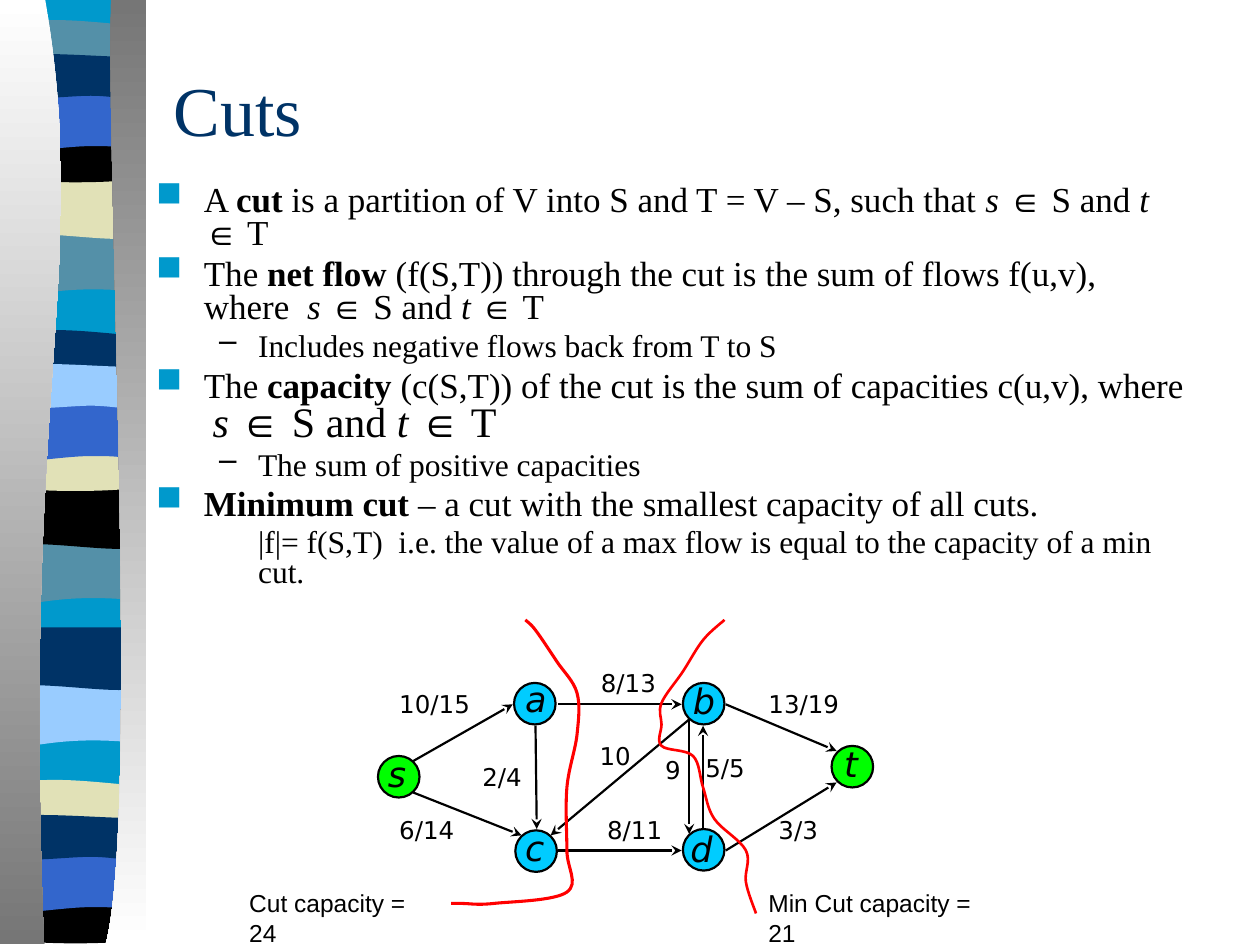
from lxml.etree import Element, SubElement
from pptx import Presentation
from pptx.dml.color import RGBColor
from pptx.enum.shapes import MSO_CONNECTOR as CONN, MSO_SHAPE as SHAPE
from pptx.enum.text import MSO_ANCHOR as ANCHOR, PP_ALIGN as ALIGN
from pptx.oxml.ns import qn
from pptx.util import Inches, Pt

SERIF, SANS, ARIAL = "Times New Roman", "DejaVu Sans", "Arial"
BLACK, NAVY, CYAN, TEAL = "000000", "003366", "0099CC", "5490A8"
SAND, ROYAL, SKY = "E1E1B7", "3366CC", "99CCFF"
AQUA, GREEN, RED = "00CCFF", "00FF00", "FF0000"

# Ribbon bands: outline (pairs are corners, sixes are Bezier curves), then (top, colour) of each use
BANDS = [
    ([(1.14, 0), (1.14, .47), (.39, .39, .24, .55, .05, .47), (.05, 0)],
     [(1.85, TEAL), (4.3, TEAL), (5.43, SKY)]),
    ([(1.14, 0), (1.14, .47), (.96, .55, .39, .42, .05, .47), (.05, 0)],
     [(1.4, SAND), (3.86, BLACK), (4.98, NAVY)]),
    ([(1.14, .05), (1.14, .29), (.96, .33, .24, .33, .05, .29), (.05, .05),
      (.13, 0, .29, 0, .47, 0), (.66, 0, 1, .04, 1.14, .05)],
     [(.16, TEAL), (2.62, NAVY), (6.19, SAND)]),
    ([(1.14, 0), (1.14, .33), (.96, .38, .24, .38, .05, .33), (.05, 0),
      (.72, .05, .91, 0, 1.14, 0)],
     [(1.08, BLACK), (3.53, SAND), (7.12, BLACK)]),
    ([(1.14, 0), (1.14, .47), (.97, .42, .9, .42, .72, .42),
      (.54, .42, .22, .47, .05, .47), (.05, 0)],
     [(.74, ROYAL), (3.2, ROYAL), (6.78, ROYAL)]),
    ([(1.14, .05), (1.14, .36), (1.07, .41, .91, .36, .72, .36),
      (.54, .36, .17, .41, .05, .36), (.05, .05),
      (.21, 0, .79, .05, .97, .05), (1.14, .05)],
     [(.4, NAVY), (2.86, SKY), (6.44, NAVY)]),
]
# Gradient edges of the ribbon: outline, top colour, bottom colour
RIBBON_EDGES = [
    ([(.36, 0), (.72, 2.17, .17, 2.96, .35, 7.49), (0, 7.49), (0, 0)], "FFFFFF", "767676"),
    ([(.88, 0), (.84, 1.25, 1.11, 6.46, .84, 7.49), (1.16, 7.49), (1.16, 0)], "767676", "FFFFFF"),
]

# Body: level, space before, runs of (text, style, size)
BODY = [
    (0, 0, [("A ", "", 20), ("cut", "b", 20),
            (" is a partition of V into S and T = V – S, such that ", "", 20),
            ("s", "i", 20), (" ∈ S and ", "", 20), ("t", "i", 20), (" ∈ T", "", 20)]),
    (0, 4, [("The ", "", 20), ("net flow", "b", 20),
            (" (f(S,T)) through the cut is the sum of flows f(u,v), where  ", "", 20),
            ("s", "i", 20), (" ∈ S and ", "", 20), ("t", "i", 20), (" ∈ T", "", 20)]),
    (1, 3.6, [("Includes negative flows back from T to S", "", 18)]),
    (0, 4.8, [("The ", "", 20), ("capacity", "b", 20),
              (" (c(S,T)) of the cut is the sum of capacities c(u,v), where  ", "", 20),
              ("s", "i", 24), (" ∈ S and ", "", 24), ("t", "i", 24), (" ∈ T", "", 24)]),
    (1, 3.6, [("The sum of positive capacities", "", 18)]),
    (0, 4, [("Minimum cut", "b", 20),
            (" – a cut with the smallest capacity of all cuts.", "", 20)]),
    (2, 3.6, [("|f|= f(S,T)  i.e. the value of a max flow is equal to the capacity of a min cut.",
               "", 18)]),
]
# Per level: left margin, first-line indent, bullet, bullet colour
LEVELS = [(.38, -.38, "■", CYAN), (.81, -.31, "–", BLACK), (.81, 0, None, None)]

# Flow network: name, colour, circle left and top, name left, top and width
NODES = [
    ("s", GREEN, 3, 6, 2.98, 5.92, .35), ("a", AQUA, 4.08, 5.42, 4.07, 5.33, .37),
    ("b", AQUA, 5.42, 5.42, 5.4, 5.34, .38), ("c", AQUA, 4.09, 6.59, 4.07, 6.51, .35),
    ("d", AQUA, 5.42, 6.58, 5.38, 6.52, .38), ("t", GREEN, 6.6, 5.92, 6.6, 5.84, .31),
]
ARROWS = [
    (3.28, 6.04, 4.07, 5.59), (3.28, 6.29, 4.14, 6.63), (4.43, 5.59, 5.41, 5.59),
    (4.43, 6.75, 5.41, 6.75), (4.25, 5.76, 4.26, 6.58), (5.47, 5.71, 4.37, 6.63),
    (5.47, 5.71, 5.47, 6.62), (5.58, 6.57, 5.58, 5.76), (5.76, 5.59, 6.64, 5.96),
    (5.76, 6.75, 6.64, 6.21),
]
# Labels: text, left, top, width, font
LABELS = [
    ("8/13", 4.67, 5.25, .66, SANS), ("8/11", 4.72, 6.42, .66, SANS),
    ("5/5", 5.5, 5.93, .54, SANS), ("2/4", 3.73, 6, .54, SANS),
    ("10/15", 3.07, 5.42, .78, SANS), ("10", 4.66, 5.83, .45, SANS),
    ("6/14", 3.07, 6.42, .66, SANS), ("13/19", 6, 5.42, .78, SANS),
    ("3/3", 6.08, 6.42, .54, SANS), ("9", 5.18, 5.94, .32, SANS),
    ("Cut capacity = 24", 1.88, 7, 1.7, ARIAL), ("Min Cut capacity = 21", 6, 7, 2.07, ARIAL),
]
# Cut lines: width, points that the smooth curve passes through
CUTS = [
    (1.75, [(4.17, 4.92), (4.25, 5), (4.42, 5.25), (4.58, 5.5), (4.58, 5.83), (4.5, 6.25),
            (4.5, 6.75), (4.5, 7.08), (3.92, 7.17), (3.67, 7.17), (3.58, 7.17)]),
    (1.5, [(5.75, 4.92), (5.58, 5.08), (5.42, 5.33), (5.25, 5.58), (5.25, 5.75), (5.25, 5.92),
           (5.5, 6), (5.58, 6.25), (5.67, 6.5), (5.92, 6.75), (5.92, 7), (6, 7.25)]),
]

prs = Presentation()
prs.slide_width, prs.slide_height = Inches(10), Inches(7.5)
s = prs.slides.add_slide(prs.slide_layouts[5])


def rgb(hex_colour):
    return RGBColor.from_string(hex_colour)


def add_run(p, text, size, font, colour=BLACK, style=""):
    r = p.add_run()
    r.text = text
    r.font.size, r.font.name, r.font.color.rgb = Pt(size), font, rgb(colour)
    if style:
        r.font.bold, r.font.italic = style == "b", style == "i"


def add_text_box(x, y, w, h):
    tf = s.shapes.add_textbox(Inches(x), Inches(y), Inches(w), Inches(h)).text_frame
    tf.word_wrap = True
    return tf


def smooth(pts):
    """Join points by curves whose tangents follow the neighbouring points."""
    segments = [pts[0]]
    for i in range(len(pts) - 1):
        prev, p, q, after = pts[max(i - 1, 0)], pts[i], pts[i + 1], pts[min(i + 2, len(pts) - 1)]
        out = [p[k] + (q[k] - prev[k]) / 6 for k in (0, 1)]
        into = [q[k] - (after[k] - p[k]) / 6 for k in (0, 1)]
        segments.append((*out, *into, *q))
    return segments


def add_outline(segments, top=0, close=True):
    """Draw the end points as a freeform, then bend the sides that are curves."""
    pts = [(Inches(seg[-2]), Inches(seg[-1] + top)) for seg in segments]
    builder = s.shapes.build_freeform(*pts[0])
    builder.add_line_segments(pts[1:], close=close)
    sp = builder.convert_to_shape()
    sp.shadow.inherit = False
    sp.line.fill.background()
    sides = list(sp._element.iter(qn("a:lnTo")))
    for side, seg in zip(sides, segments[1:]):
        if len(seg) == 6:
            side.tag = qn("a:cubicBezTo")
            for k in (0, 2):
                x, y = Inches(seg[k]) - sp.left, Inches(seg[k + 1] + top) - sp.top
                side.insert(k // 2, Element(qn("a:pt"), x=str(x), y=str(y)))
    return sp


def fill_solid(sp, colour):
    sp.fill.solid()
    sp.fill.fore_color.rgb = rgb(colour)


# Ribbon on the left
fill_solid(add_outline([(1.14, 0), (1.14, 7.47), (.06, 7.47), (.06, 0)]), CYAN)
for use in range(3):
    for outline, uses in BANDS:
        top, colour = uses[use]
        fill_solid(add_outline(outline, top), colour)
for outline, *colours in RIBBON_EDGES:
    fill = add_outline(outline).fill
    fill.gradient()
    fill.gradient_angle = 270
    for stop, position, colour in zip(fill.gradient_stops, (0, 1), colours):
        stop.position, stop.color.rgb = position, rgb(colour)

# Title
title = s.shapes.title
title.left, title.top, title.width, title.height = map(Inches, (1.28, .5, 8.5, .73))
title.text_frame.vertical_anchor = ANCHOR.MIDDLE
p = title.text_frame.paragraphs[0]
p.alignment = ALIGN.LEFT
add_run(p, "Cuts", 40, SERIF, NAVY)

# Body
tf = add_text_box(1.14, 1.42, 8.36, 4.95)
for i, (level, before, runs) in enumerate(BODY):
    p = tf.add_paragraph() if i else tf.paragraphs[0]
    p.line_spacing, p.space_before = .8, Pt(before)
    margin, indent, bullet, colour = LEVELS[level]
    pPr = p._p.get_or_add_pPr()
    pPr.set("marL", str(Inches(margin)))
    pPr.set("indent", str(Inches(indent)))
    if bullet:
        SubElement(SubElement(pPr, qn("a:buClr")), qn("a:srgbClr"), val=colour)
        SubElement(pPr, qn("a:buChar"), char=bullet)
    for text, style, size in runs:
        add_run(p, text, size, SERIF, BLACK, style)

# Network nodes, arrows and labels
for name, colour, x, y, name_x, name_y, name_w in NODES:
    sp = s.shapes.add_shape(SHAPE.OVAL, Inches(x), Inches(y), Inches(.33), Inches(.33))
    sp.shadow.inherit = False
    fill_solid(sp, colour)
    sp.line.color.rgb, sp.line.width = rgb(BLACK), Pt(1.25)
    add_run(add_text_box(name_x, name_y, name_w, .43).paragraphs[0], name, 20, SANS, BLACK, "i")

for ends in ARROWS:
    arrow = s.shapes.add_connector(CONN.STRAIGHT, *map(Inches, ends))
    arrow.line.color.rgb, arrow.line.width = rgb(BLACK), Pt(1.25)
    SubElement(arrow._element.spPr.find(qn("a:ln")), qn("a:tailEnd"), type="stealth")
    SubElement(arrow._element.spPr, qn("a:effectLst"))

for text, x, y, w, font in LABELS:
    add_run(add_text_box(x, y, w, .33).paragraphs[0], text, 14, font)

# Cut lines
for width, points in CUTS:
    cut = add_outline(smooth(points), close=False)
    cut.fill.background()
    cut.line.color.rgb, cut.line.width = rgb(RED), Pt(width)

prs.save("out.pptx")
